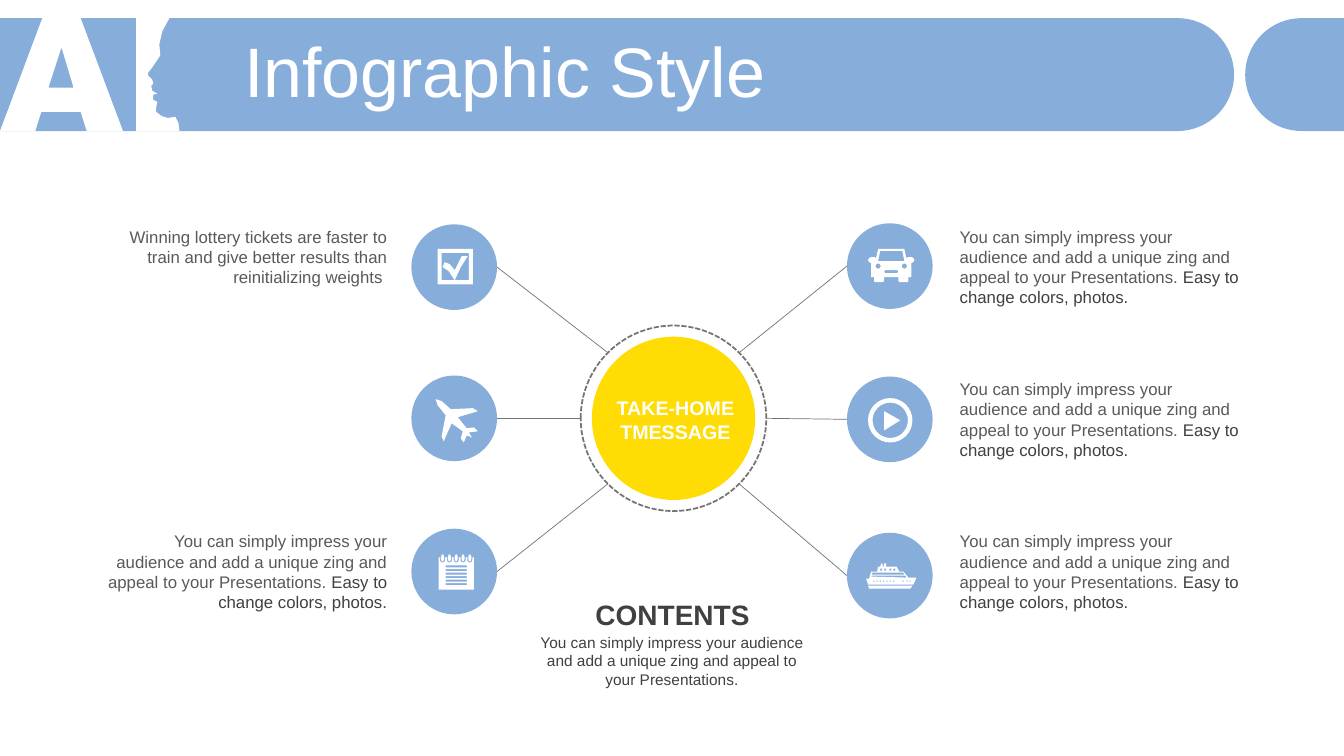
from dataclasses import dataclass
from math import cos, pi, sin

from lxml import etree
from pptx import Presentation
from pptx.dml.color import RGBColor
from pptx.enum import dml, shapes, text
from pptx.oxml import ns
from pptx.util import Inches, Pt

Contour = list[tuple[float, float]]


@dataclass(frozen=True)
class Theme:
    font: str = "Arial"
    blue: str = "87ADDB"
    yellow: str = "FEDC04"
    white: str = "FFFFFF"
    line: str = "737474"
    soft: str = "595959"
    dark: str = "404040"
    title_size: float = 50
    contents_size: float = 20
    hub_size: float = 14
    caption_size: float = 12
    note_size: float = 11


@dataclass(frozen=True)
class Caption:
    left: float
    top: float
    width: float
    height: float
    lead: str
    tail: str
    align: int


@dataclass(frozen=True)
class Badge:
    left: float
    middle: float
    ring_angle: float
    icon: list[Contour]


THEME = Theme()
BADGE_SIZE = 0.85
HUB_X, HUB_Y = 6.68, 4.15
HUB_RADIUS, RING_RADIUS = 0.81, 0.92
BAND_TOP, BAND_BOTTOM = 0.18, 1.3
BAND_RADIUS = (BAND_BOTTOM - BAND_TOP) / 2

prs = Presentation()
prs.slide_width, prs.slide_height = Inches(13.33), Inches(7.5)
slide = prs.slides.add_slide(prs.slide_layouts[5])


# Outline helpers
def arc(x: float, y: float, rx: float, ry: float,
        start: float = 0, end: float = 2 * pi) -> Contour:
    angles = [start + (end - start) * i / 32 for i in range(33)]
    return [(x + rx * cos(a), y + ry * sin(a)) for a in angles]


def box(left: float, top: float, right: float, bottom: float) -> Contour:
    return [(left, top), (right, top), (right, bottom), (left, bottom)]


def mirrored(half: Contour, axis: float) -> Contour:
    return half + [(2 * axis - x, y) for x, y in reversed(half)]


# Drawing helpers
def paint(shape, fill: str) -> None:
    shape.shadow.inherit = False
    shape.fill.solid()
    shape.fill.fore_color.rgb = RGBColor.from_string(fill)
    shape.line.fill.background()


def draw_outline(contours: list[Contour], fill: str) -> None:
    builder = None
    for contour in contours:
        points = [(Inches(x), Inches(y)) for x, y in contour]
        if builder is None:
            builder = slide.shapes.build_freeform(*points[0])
        else:
            builder.move_to(*points[0])
        builder.add_line_segments(points[1:], close=True)
    paint(builder.convert_to_shape(), fill)


def draw_circle(x: float, y: float, radius: float, fill: str):
    circle = slide.shapes.add_shape(
        shapes.MSO_SHAPE.OVAL, Inches(x - radius), Inches(y - radius),
        Inches(2 * radius), Inches(2 * radius))
    paint(circle, fill)
    return circle


def style(font, size: float, color: str, bold: bool = False) -> None:
    font.name, font.size, font.bold = THEME.font, Pt(size), bold
    font.color.rgb = RGBColor.from_string(color)


def draw_text(left: float, top: float, width: float, height: float, words: str,
              size: float, color: str, align: int, bold: bool = False,
              inset: bool = True):
    frame = slide.shapes.add_textbox(
        Inches(left), Inches(top), Inches(width), Inches(height)).text_frame
    frame.word_wrap = True
    if not inset:
        frame.margin_left = frame.margin_right = 0
        frame.margin_top = frame.margin_bottom = 0
    frame.text = words
    for paragraph in frame.paragraphs:
        paragraph.alignment = align
        style(paragraph.runs[0].font, size, color, bold)
    return frame


def draw_caption(caption: Caption) -> None:
    frame = draw_text(caption.left, caption.top, caption.width, caption.height,
                      caption.lead, THEME.caption_size, THEME.soft, caption.align)
    if caption.tail:
        ending = frame.paragraphs[0].add_run()
        ending.text = caption.tail
        style(ending.font, THEME.caption_size, THEME.dark)


def draw_badge(badge: Badge) -> None:
    radius = BADGE_SIZE / 2
    draw_circle(badge.left + radius, badge.middle, radius, THEME.blue)
    draw_outline(badge.icon, THEME.white)
    inner = badge.left + (BADGE_SIZE if badge.left < HUB_X else 0)
    angle = badge.ring_angle * pi / 180
    spoke = slide.shapes.add_connector(
        shapes.MSO_CONNECTOR.STRAIGHT, Inches(inner), Inches(badge.middle),
        Inches(HUB_X + RING_RADIUS * cos(angle)),
        Inches(HUB_Y + RING_RADIUS * sin(angle)))
    spoke.line.width = Pt(0.5)
    spoke.line.color.rgb = RGBColor.from_string(THEME.line)
    etree.SubElement(spoke._element.spPr, ns.qn("a:effectLst"))


# Icons
CHECK = [box(4.34, 2.47, 4.69, 2.82), box(4.38, 2.51, 4.65, 2.78),
         [(4.51, 2.78), (4.45, 2.69), (4.39, 2.65), (4.41, 2.6), (4.46, 2.62),
          (4.51, 2.68), (4.58, 2.54), (4.64, 2.54), (4.57, 2.65)]]
PLANE = [[(4.74, 4.28), (4.65, 4.29), (4.68, 4.34), (4.63, 4.32), (4.6, 4.39),
          (4.57, 4.35), (4.59, 4.28), (4.48, 4.2), (4.4, 4.38), (4.38, 4.33),
          (4.42, 4.12), (4.34, 4.02), (4.32, 3.96), (4.38, 3.98), (4.47, 4.06),
          (4.69, 4.05), (4.74, 4.08), (4.54, 4.14), (4.63, 4.25), (4.7, 4.24)]]
NOTEPAD = [box(4.35, 5.53, 4.7, 5.85)]
NOTEPAD += [box(4.42, 5.61 + 0.035 * i, 4.63, 5.63 + 0.035 * i) for i in range(6)]
for ring_x in [4.39 + 0.0675 * i for i in range(5)]:
    NOTEPAD += [[(ring_x + 0.025, 5.53), *arc(ring_x, 5.555, 0.025, 0.025, 0, pi),
                 (ring_x - 0.025, 5.53)],
                arc(ring_x, 5.535, 0.015, 0.035)]
CAR_X = 8.84
CAR = [mirrored([(8.71, 2.47), (8.69, 2.56), (8.67, 2.55), (8.64, 2.55),
                 (8.62, 2.56), (8.61, 2.58), (8.62, 2.6), (8.64, 2.61),
                 (8.64, 2.75), (8.67, 2.75), (8.67, 2.79), (8.68, 2.8),
                 (8.75, 2.8), (8.77, 2.79), (8.77, 2.75)], CAR_X),
       mirrored([(8.73, 2.49), (8.71, 2.59)], CAR_X),
       mirrored([(8.78, 2.68), (8.77, 2.69), (8.78, 2.71)], CAR_X),
       arc(8.71, 2.64, 0.025, 0.025), arc(8.97, 2.64, 0.025, 0.025)]
PLAY = [[(8.77, 4.08), (8.93, 4.17), (8.77, 4.27)],
        arc(8.83, 4.17, 0.175, 0.175), arc(8.83, 4.17, 0.22, 0.22)]
SHIP = [[(8.61, 5.81), (9.05, 5.81), (9.03, 5.84), (8.62, 5.84)],
        [(8.77, 5.59), (8.79, 5.59), (8.79, 5.62), (8.89, 5.62), (8.92, 5.67),
         (8.96, 5.67), (9.01, 5.73), (9.09, 5.73), (9.06, 5.8), (8.61, 5.8),
         (8.59, 5.74), (8.62, 5.74), (8.64, 5.67), (8.7, 5.67), (8.71, 5.62),
         (8.73, 5.62), (8.74, 5.59), (8.75, 5.59), (8.76, 5.62), (8.77, 5.62)],
        [(8.65, 5.71), (8.64, 5.72), (8.99, 5.73), (8.98, 5.71)],
        [(8.65, 5.68), (8.65, 5.7), (8.97, 5.7), (8.96, 5.68)]]
PORTHOLES = [8.66 + 0.0325 * i for i in range(7)] + [8.95, 8.99, 9.02]
SHIP += [box(x, 5.76, x + 0.015, 5.77) for x in PORTHOLES]
SHIP += [box(x, 5.64, x + 0.02, 5.66) for x in (8.73, 8.77, 8.82, 8.86)]

# Header band with the letter A and a face profile
band_y = BAND_TOP + BAND_RADIUS
draw_outline([[(0, BAND_TOP),
               *arc(11.68, band_y, BAND_RADIUS, BAND_RADIUS, -pi / 2, pi / 2),
               (0, BAND_BOTTOM)]], THEME.blue)
LETTER_A = [[(0.42, 0.18), (0.8, 0.18), (1.22, 1.3), (0.86, 1.3), (0.8, 1.11),
             (0.41, 1.11), (0.35, 1.3), (0, 1.3)],
            [(0.61, 0.47), (0.48, 0.87), (0.73, 0.87)]]
PROFILE = [(1.35, 0.18), (1.68, 0.18), (1.61, 0.31), (1.58, 0.44), (1.59, 0.55),
           (1.51, 0.67), (1.47, 0.72), (1.47, 0.75), (1.51, 0.79), (1.52, 0.83),
           (1.5, 0.85), (1.51, 0.9), (1.56, 0.93), (1.52, 0.94), (1.52, 0.99),
           (1.56, 1.01), (1.55, 1.06), (1.55, 1.11), (1.6, 1.15), (1.66, 1.17),
           (1.74, 1.16), (1.77, 1.22), (1.78, 1.3), (1.35, 1.3)]
draw_outline([*LETTER_A, PROFILE], THEME.white)
draw_outline([[(13.33, BAND_BOTTOM),
               *arc(12.91, band_y, BAND_RADIUS, BAND_RADIUS, pi / 2, 3 * pi / 2),
               (13.33, BAND_TOP)]], THEME.blue)

# Title
title = slide.shapes.title
title.left, title.top = Inches(2.32), Inches(0.37)
title.width, title.height = Inches(10.69), Inches(0.79)
heading = title.text_frame
heading.text = "Infographic Style"
heading.auto_size = text.MSO_AUTO_SIZE.NONE
heading.vertical_anchor = text.MSO_ANCHOR.MIDDLE
heading.paragraphs[0].alignment = text.PP_ALIGN.LEFT
heading.paragraphs[0].line_spacing = 0.8
style(heading.paragraphs[0].runs[0].font, THEME.title_size, THEME.white)
slide.shapes._spTree.append(title._element)

# Captions
IMPRESS = ("You can simply impress your audience and add a unique zing "
           "and appeal to your Presentations.")
EASY = " Easy to change colors, photos."
LOTTERY = ("Winning lottery tickets are faster to train and give better "
           "results than reinitializing weights ")
LEFT, RIGHT, CENTER = text.PP_ALIGN.LEFT, text.PP_ALIGN.RIGHT, text.PP_ALIGN.CENTER
for row in range(3):
    draw_caption(Caption(9.42, 2.2 + 1.51 * row, 2.97, 0.91, IMPRESS, EASY, LEFT))
draw_caption(Caption(0.95, 2.2, 2.99, 0.71, LOTTERY, "", RIGHT))
draw_caption(Caption(0.95, 5.22, 2.99, 0.91, IMPRESS, EASY, RIGHT))

# Hub, badges and spokes
draw_circle(HUB_X, HUB_Y, HUB_RADIUS, THEME.yellow)
ring = draw_circle(HUB_X, HUB_Y, RING_RADIUS, THEME.white)
ring.fill.background()
ring.line.color.rgb = RGBColor.from_string(THEME.line)
ring.line.width = Pt(1.25)
ring.line.dash_style = dml.MSO_LINE.SQUARE_DOT
for item in (Badge(4.08, 2.65, 225, CHECK), Badge(4.08, 4.15, 180, PLANE),
             Badge(4.08, 5.67, 135, NOTEPAD), Badge(8.4, 2.64, 315, CAR),
             Badge(8.4, 4.16, 0, PLAY), Badge(8.4, 5.71, 45, SHIP)):
    draw_badge(item)
draw_text(5.92, 3.88, 1.56, 0.57, "TAKE-HOME\nTMESSAGE",
          THEME.hub_size, THEME.white, CENTER, bold=True)

# Contents note
draw_text(5.28, 5.93, 2.78, 0.34, "CONTENTS", THEME.contents_size, THEME.dark,
          CENTER, bold=True, inset=False)
draw_text(5.29, 6.28, 2.75, 0.56, IMPRESS, THEME.note_size, THEME.dark,
          CENTER, inset=False)

prs.save("out.pptx")
